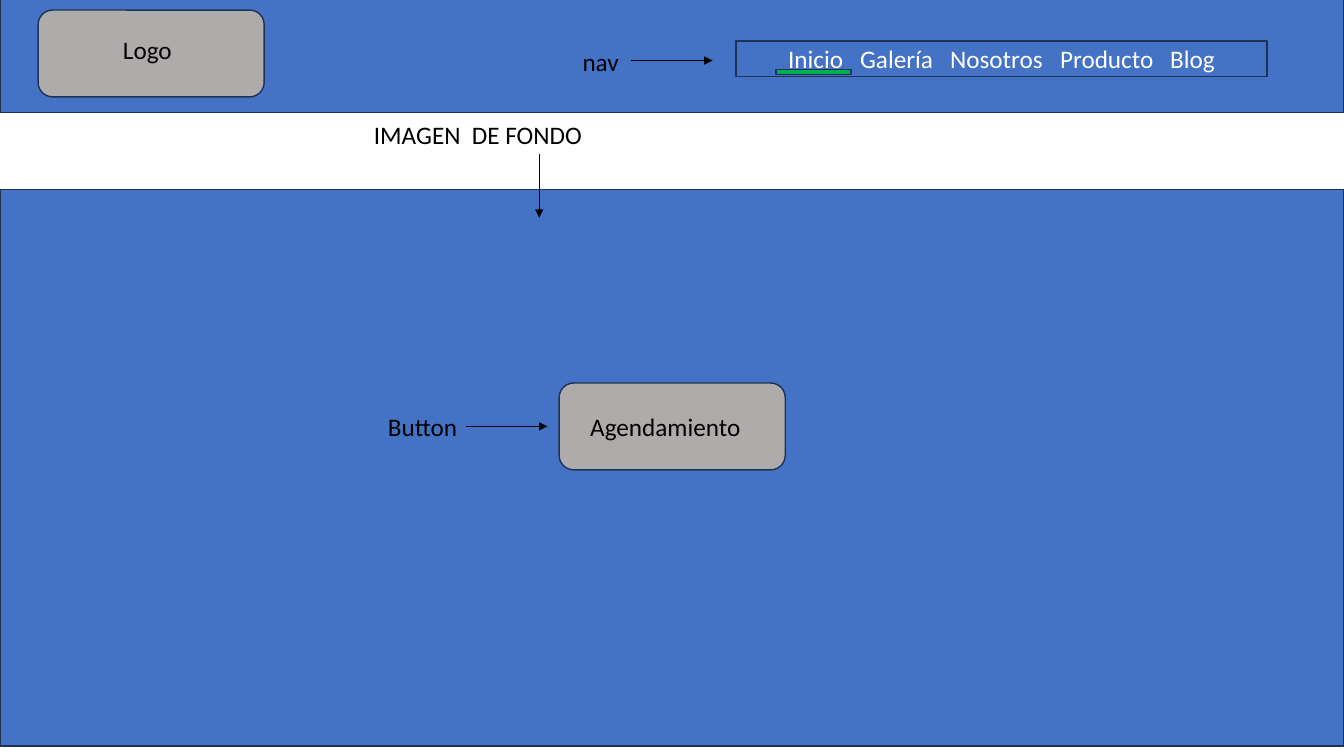
from lxml import etree
from pptx import Presentation
from pptx import util as u
from pptx.dml.color import RGBColor
from pptx.enum import shapes, text
from pptx.oxml.ns import qn

BLUE, GREY, GREEN = "4472C4", "AFABAB", "00B050"
EDGE, BLACK, WHITE = "1E3256", "000000", "FFFFFF"
WIDTH, HEIGHT = 960, 540
RECTANGLE = shapes.MSO_SHAPE.RECTANGLE
ROUNDED = shapes.MSO_SHAPE.ROUNDED_RECTANGLE
BUTTON_SIZE = (161.5, 62)

# Preset, fill, (left, top, width, height)
PANELS = {
    "background": (RECTANGLE, BLUE, (0, 135.4, WIDTH, 397.4)),
    "header": (RECTANGLE, BLUE, (0, -3.6, WIDTH, 84)),
    "nav bar": (RECTANGLE, BLUE, (525.8, 29.3, 379.4, 25.4)),
    "logo": (ROUNDED, GREY, (27.2, 7.2, *BUTTON_SIZE)),
    "button": (ROUNDED, GREY, (399.4, 273.6, *BUTTON_SIZE)),
    "active underline": (RECTANGLE, GREEN, (554.4, 49.5, 53.6, 3.8)),
}
NAV_ITEMS = ["Inicio", "Galería", "Nosotros", "Producto", "Blog"]
NAV_INDENT = 37.2
NAV_STOPS = [51.4, 115.7, 194.3, 272.9]

# Text, (left, top, width), left margin, wrapping
LABELS = [
    ("nav", (409, 29.6, 41.8), 7.2, True),
    ("Logo", (40.3, 20.9, 131), 47.5, True),
    ("Agendamiento", (414.5, 290.2, 131), 7.2, True),
    ("Button", (270, 290.2, 70.6), 7.2, True),
    ("IMAGEN  DE FONDO", (260, 81.4, 164.9), 7.2, False),
]
LABEL_HEIGHT = 29
ARROWS = [
    (450.7, 43.2, 509, 43.2),
    (332.6, 304.6, 391, 304.6),
    (385.2, 110.2, 385.2, 155.5),
]


def color(value):
    """Turn a hex string into a colour."""
    return RGBColor.from_string(value)


def points(values):
    """Turn numbers into lengths in points."""
    return [u.Pt(value) for value in values]


def write(shape, content, ink, **frame_format):
    """Write one left-aligned paragraph and return it."""
    frame = shape.text_frame
    for name, value in frame_format.items():
        setattr(frame, name, value)
    paragraph = frame.paragraphs[0]
    paragraph.alignment = text.PP_ALIGN.LEFT
    run = paragraph.add_run()
    run.text = content
    for name, value in {"name": "Calibri", "size": u.Pt(18)}.items():
        setattr(run.font, name, value)
    run.font.color.rgb = color(ink)
    return paragraph


def add_panel(slide, preset, fill, box):
    """Add a filled shape with a dark outline."""
    shape = slide.shapes.add_shape(preset, *points(box))
    shape.shadow.inherit = False
    shape.fill.solid()
    shape.fill.fore_color.rgb = color(fill)
    shape.line.color.rgb = color(EDGE)
    shape.line.width = u.Pt(1)
    return shape


def add_arrow(slide, ends):
    """Add a black line with a triangle at its end."""
    arrow = slide.shapes.add_connector(
        shapes.MSO_CONNECTOR.STRAIGHT, *points(ends))
    arrow.line.color.rgb = color(BLACK)
    arrow.line.width = u.Pt(1)
    properties = arrow.element.spPr
    etree.SubElement(properties.find(qn("a:ln")), qn("a:tailEnd"),
                     type="triangle")
    etree.SubElement(properties, qn("a:effectLst"))


def fill_nav(shape):
    """Write the menu items at tab stops."""
    paragraph = write(shape, "\t".join(NAV_ITEMS), WHITE, word_wrap=True,
                      margin_left=u.Pt(NAV_INDENT),
                      vertical_anchor=text.MSO_ANCHOR.MIDDLE)
    stops = etree.SubElement(paragraph._p.get_or_add_pPr(), qn("a:tabLst"))
    for stop in NAV_STOPS:
        etree.SubElement(stops, qn("a:tab"), pos=str(u.Pt(stop)), algn="l")


presentation = Presentation()
presentation.slide_width, presentation.slide_height = points((WIDTH, HEIGHT))
slide = presentation.slides.add_slide(presentation.slide_layouts[6])

panels = {name: add_panel(slide, *panel) for name, panel in PANELS.items()}
fill_nav(panels["nav bar"])
for content, place, margin, wrap in LABELS:
    label = slide.shapes.add_textbox(*points((*place, LABEL_HEIGHT)))
    write(label, content, BLACK, word_wrap=wrap, margin_left=u.Pt(margin))
for ends in ARROWS:
    add_arrow(slide, ends)

presentation.save("out.pptx")
